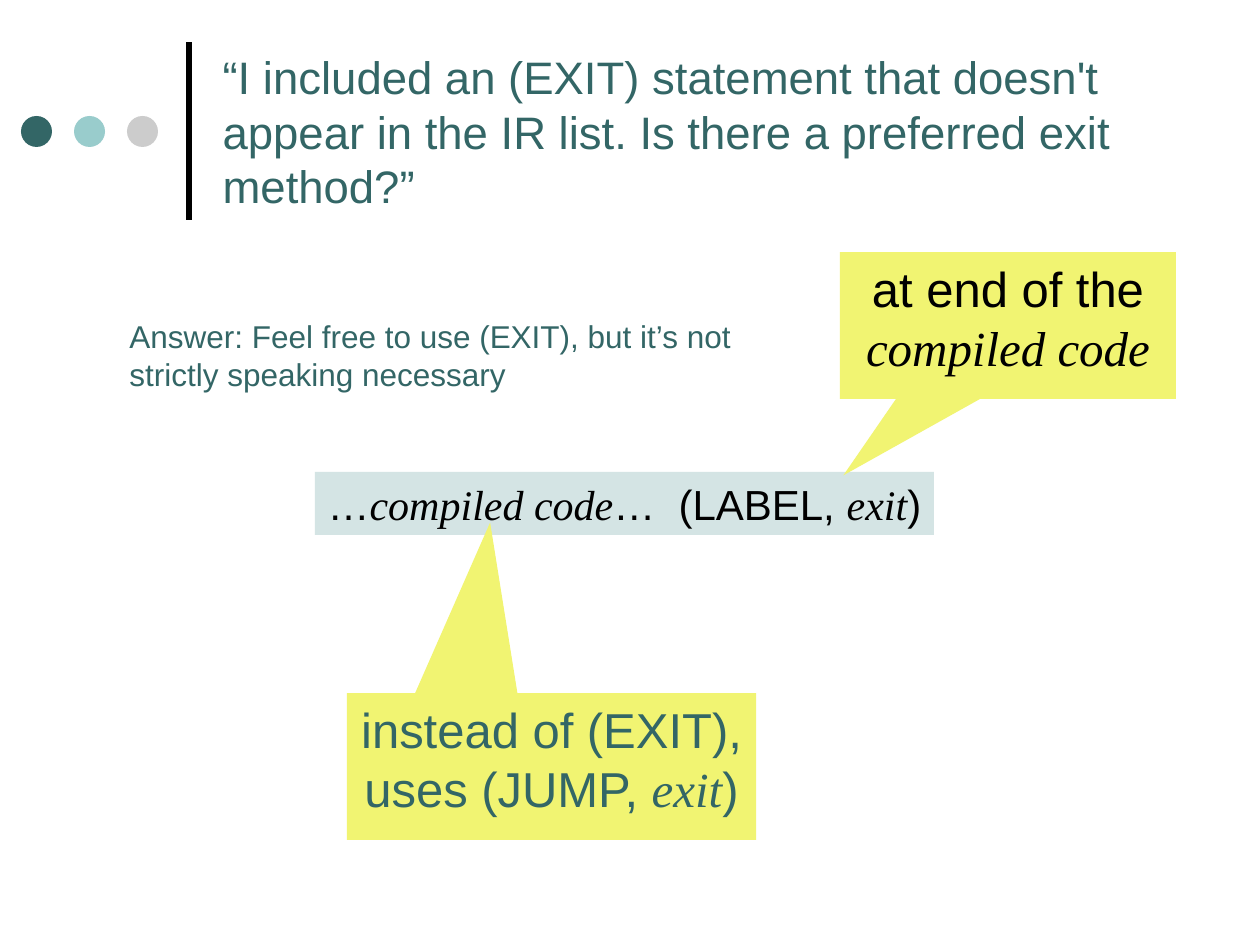
from dataclasses import dataclass

from lxml import etree
from pptx import Presentation
from pptx import util as u
from pptx.dml.color import RGBColor
from pptx.enum import shapes, text
from pptx.oxml.ns import qn

PX = 914400 / 126  # EMU in one px
TEAL, BLACK, YELLOW = "336666", "000000", "F1F472"
SANS, SERIF = "Arial", "Times New Roman"


@dataclass
class Run:
    words: str
    italic: bool = False  # italic runs are set in the serif face


@dataclass
class TextStyle:
    size: int
    color: str
    align: text.PP_ALIGN = text.PP_ALIGN.CENTER
    anchor: text.MSO_ANCHOR = text.MSO_ANCHOR.TOP
    wrap: bool = True


@dataclass
class Callout:
    box: tuple[int, int, int, int]
    pointer: tuple[float, float]
    color: str
    runs: list[Run]


CALLOUTS = [
    Callout((347, 693, 409, 147), (-0.15, -1.66), TEAL,
            [Run("instead of (EXIT), uses (JUMP, "), Run("exit", True), Run(")")]),
    Callout((840, 252, 336, 147), (-0.49, 1.02), BLACK,
            [Run("at end of the "), Run("compiled code", True)]),
]


def px(value: int) -> int:
    return u.Emu(round(value * PX))


def rgb(color: str) -> RGBColor:
    return RGBColor.from_string(color)


def add_block(slide, kind, box: tuple[int, int, int, int], fill: str):
    shape = slide.shapes.add_shape(kind, *map(px, box))
    shape.shadow.inherit = False
    shape.fill.solid()
    shape.fill.fore_color.rgb = rgb(fill)
    shape.line.fill.background()
    return shape


def write(shape, paragraphs: list[list[Run]], style: TextStyle) -> None:
    frame = shape.text_frame
    frame.word_wrap = style.wrap
    frame.auto_size = (text.MSO_AUTO_SIZE.NONE if style.wrap
                       else text.MSO_AUTO_SIZE.SHAPE_TO_FIT_TEXT)
    frame.vertical_anchor = style.anchor
    for index, runs in enumerate(paragraphs):
        paragraph = frame.add_paragraph() if index else frame.paragraphs[0]
        paragraph.alignment = style.align
        for item in runs:
            run = paragraph.add_run()
            run.text = item.words
            run.font.name = SERIF if item.italic else SANS
            run.font.italic = item.italic
            run.font.size = u.Pt(style.size)
            run.font.color.rgb = rgb(style.color)


def add_decoration(slide) -> None:
    rule = slide.shapes.add_connector(
        shapes.MSO_CONNECTOR.STRAIGHT, px(189), px(220), px(189), px(42))
    rule.line.width = u.Pt(3)
    rule.line.color.rgb = rgb(BLACK)
    etree.SubElement(rule._element.spPr, qn("a:effectLst"))
    for index, color in enumerate((TEAL, "99CCCC", "CCCCCC")):
        add_block(slide, shapes.MSO_SHAPE.OVAL, (21 + 53 * index, 116, 31, 31), color)


def main() -> None:
    presentation = Presentation()
    presentation.slide_width, presentation.slide_height = px(1260), px(945)
    slide = presentation.slides.add_slide(presentation.slide_layouts[5])
    add_decoration(slide)

    # Title
    title = slide.shapes.title
    title.left, title.top, title.width, title.height = map(px, (210, 26, 966, 210))
    write(title, [[Run("“I included an (EXIT) statement that doesn't appear in the IR list. "
                       "Is there a preferred exit method?”")]],
          TextStyle(26, TEAL, text.PP_ALIGN.LEFT, text.MSO_ANCHOR.MIDDLE))

    # Code bar
    code = add_block(slide, shapes.MSO_SHAPE.RECTANGLE, (315, 472, 619, 63), "D4E4E4")
    write(code, [[Run("…"), Run("compiled code", True), Run("…  (LABEL, "),
                  Run("exit", True), Run(")")]],
          TextStyle(24, BLACK, wrap=False))

    # Answer
    answer = slide.shapes.add_textbox(*map(px, (117, 311, 636, 88)))
    write(answer, [[Run("Answer: Feel free to use (EXIT), but it’s not")],
                   [Run("strictly speaking necessary")]],
          TextStyle(18, TEAL, text.PP_ALIGN.LEFT, wrap=False))

    # Callouts pointing at the code bar
    for callout in CALLOUTS:
        shape = add_block(slide, shapes.MSO_SHAPE.RECTANGULAR_CALLOUT, callout.box, YELLOW)
        shape.adjustments[0], shape.adjustments[1] = callout.pointer
        write(shape, [callout.runs], TextStyle(28, callout.color))

    presentation.save("out.pptx")


if __name__ == "__main__":
    main()
